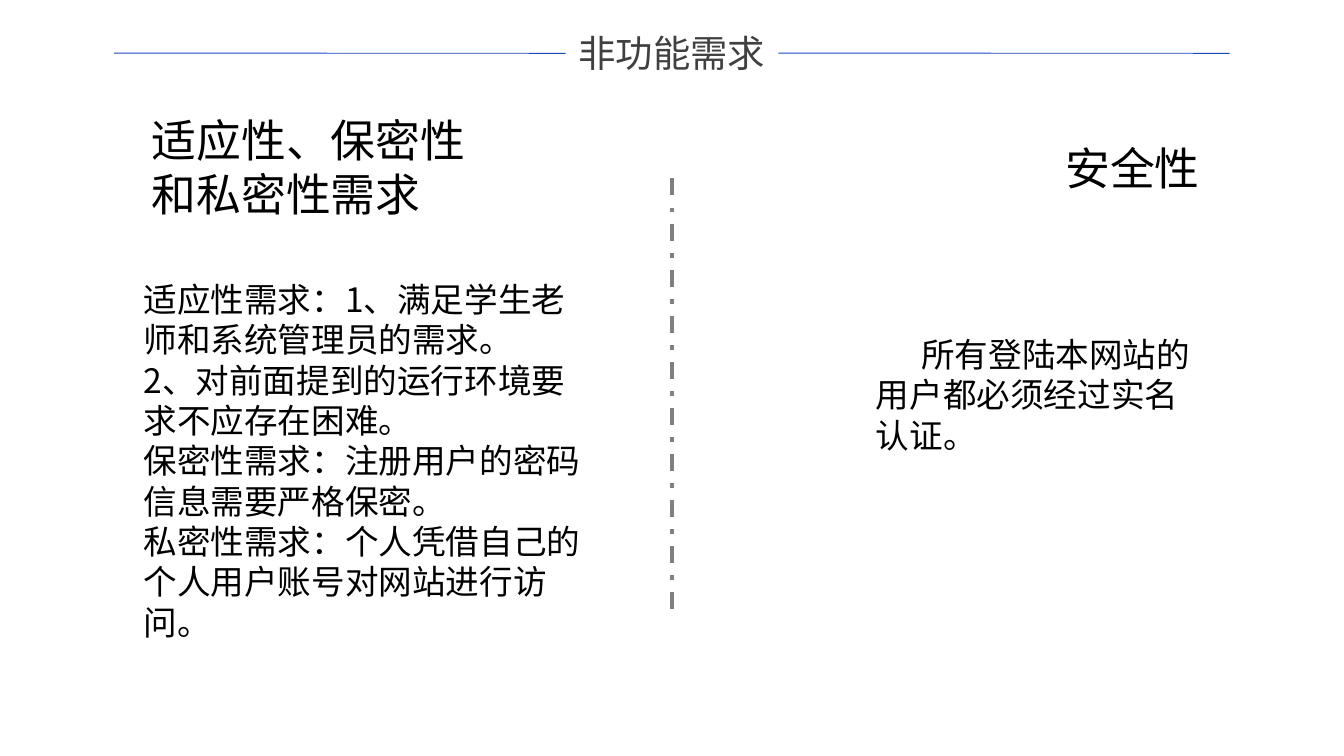
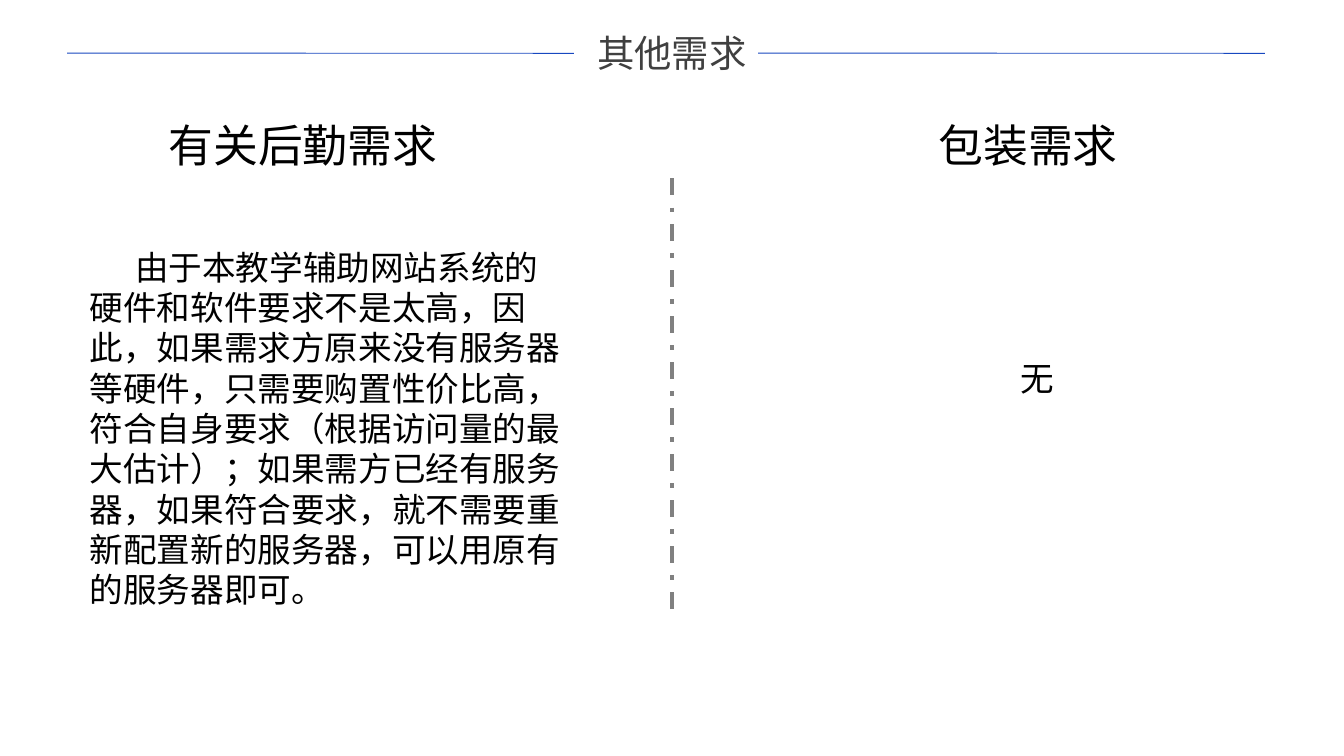
from dataclasses import dataclass

import lxml.etree
import pptx
import pptx.dml.color
import pptx.enum.dml
import pptx.enum.shapes
import pptx.enum.text
import pptx.oxml.ns
import pptx.util

Pt = pptx.util.Pt

# Shared style, lengths in points
SLIDE_W, SLIDE_H = 720, 405
CENTRE = SLIDE_W / 2
INSET = 7.2
RULE_Y, RULE_DROP = 28.5, 0.05
BLUE, GREY, DARK, BLACK = "1848C0", "808080", "404040", "000000"
LATIN, CJK = "Arial", "Noto Sans CJK SC"
TITLE_SIZE, HEADING_SIZE, BODY_SIZE = 20, 24, 18
FIRST_INDENT = 24.3


@dataclass
class Block:
    """Text box with one or more paragraphs of the same style."""
    x: float
    y: float
    w: float
    h: float
    paragraphs: list[str]
    size: float = BODY_SIZE
    indent: float = 0
    font: str = CJK
    color: str = BLACK
    wrap: bool = True


@dataclass
class Page:
    title: str
    rule_starts: tuple[float, float]
    rule_length: float
    blocks: list[Block]


PAGES = [
    Page("非功能需求", (61.2, 417), 241.8, [
        Block(74.2, 56.9, 205, 65.5, ["适应性、保密性和私密性需求"], HEADING_SIZE),
        Block(563.6, 71.6, 95, 36, ["安全性"], HEADING_SIZE),
        Block(69.8, 145.9, 257.8, 181.4, [
            "适应性需求：1、满足学生老师和系统管理员的需求。",
            "2、对前面提到的运行环境要求不应存在困难。",
            "保密性需求：注册用户的密码信息需要严格保密。",
            "私密性需求：个人凭借自己的个人用户账号对网站进行访问。",
        ]),
        Block(462.2, 175.3, 186.5, 72.7,
              ["所有登陆本网站的用户都必须经过实名认证。"], indent=FIRST_INDENT),
    ]),
    Page("其他需求", (36, 406.1), 271.5, [
        Block(83.2, 59.4, 170.6, 36, ["有关后勤需求"], HEADING_SIZE),
        Block(495.7, 59.4, 133.9, 36, ["包装需求"], HEADING_SIZE),
        Block(41, 128.6, 271.4, 203.8, [
            "由于本教学辅助网站系统的硬件和软件要求不是太高，因此，"
            "如果需求方原来没有服务器等硬件，只需要购置性价比高，"
            "符合自身要求（根据访问量的最大估计）；如果需方已经有服务器，"
            "如果符合要求，就不需要重新配置新的服务器，可以用原有的服务器即可。",
        ], indent=FIRST_INDENT),
        Block(539.6, 188.3, 35.3, 28.8, ["无"]),
    ]),
]


def rgb(color: str) -> pptx.dml.color.RGBColor:
    return pptx.dml.color.RGBColor.from_string(color)


def add_line(s, x1: float, y1: float, x2: float, y2: float,
             color: str, width: float, dash=None) -> None:
    line = s.shapes.add_connector(
        pptx.enum.shapes.MSO_CONNECTOR.STRAIGHT, Pt(x1), Pt(y1), Pt(x2), Pt(y2))
    line.line.color.rgb = rgb(color)
    line.line.width = Pt(width)
    if dash is not None:
        line.line.dash_style = dash
    lxml.etree.SubElement(line._element.spPr, pptx.oxml.ns.qn("a:effectLst"))


def add_block(s, block: Block) -> None:
    sp = s.shapes.add_textbox(Pt(block.x), Pt(block.y), Pt(block.w), Pt(block.h))
    tf = sp.text_frame
    tf.word_wrap = block.wrap
    tf.auto_size = pptx.enum.text.MSO_AUTO_SIZE.SHAPE_TO_FIT_TEXT
    for i, text in enumerate(block.paragraphs):
        p = tf.add_paragraph() if i else tf.paragraphs[0]
        # Keep punctuation inside the box
        pPr = p._p.get_or_add_pPr()
        pPr.set("hangingPunct", "0")
        if block.indent:
            pPr.set("indent", str(Pt(block.indent)))
        r = p.add_run()
        r.text = text
        r.font.size = Pt(block.size)
        r.font.name = block.font
        r.font.color.rgb = rgb(block.color)
        # East Asian glyphs always use the CJK face
        ea = lxml.etree.SubElement(r._r.get_or_add_rPr(), pptx.oxml.ns.qn("a:ea"))
        ea.set("typeface", CJK)


def add_page(prs, page: Page) -> None:
    s = prs.slides.add_slide(prs.slide_layouts[6])

    # Centred title between two thin rules
    width = len(page.title) * TITLE_SIZE + 2 * INSET
    add_block(s, Block(CENTRE - width / 2, 12.6, width, 31.7, [page.title],
                       TITLE_SIZE, font=LATIN, color=DARK, wrap=False))
    for x in page.rule_starts:
        add_line(s, x, RULE_Y, x + page.rule_length, RULE_Y + RULE_DROP, BLUE, 0.5)

    # Divider between the two columns
    add_line(s, CENTRE, 95.5, CENTRE, 327.3, GREY, 2.25,
             pptx.enum.dml.MSO_LINE.DASH_DOT)

    # Column headings and texts
    for block in page.blocks:
        add_block(s, block)


def main() -> None:
    prs = pptx.Presentation()
    prs.slide_width, prs.slide_height = Pt(SLIDE_W), Pt(SLIDE_H)
    for page in PAGES:
        add_page(prs, page)
    prs.save("out.pptx")


if __name__ == "__main__":
    main()
